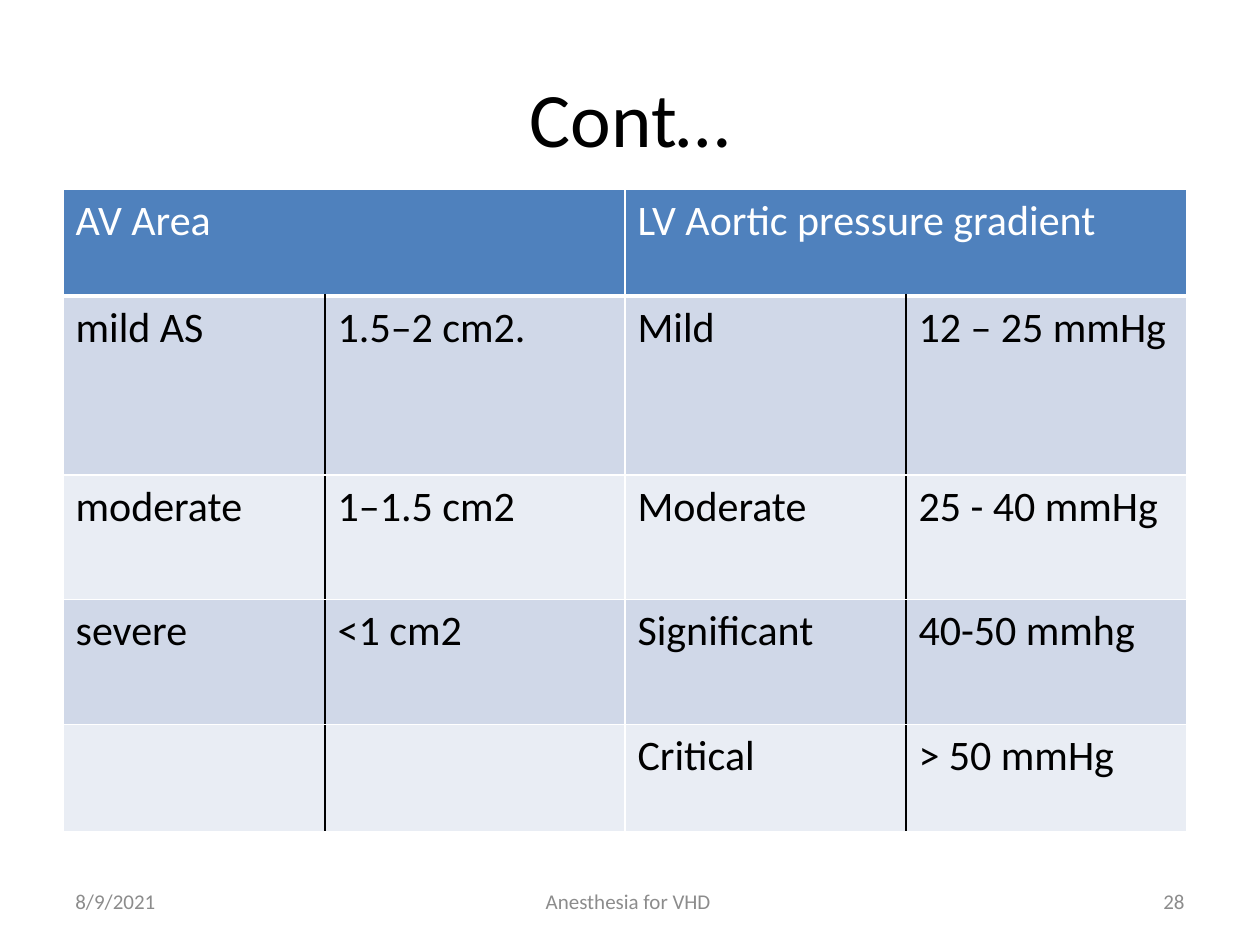
import pptx
import pptx.util
import pptx.dml.color
import pptx.enum.text
from lxml import etree
from pptx.oxml.ns import qn

Inches, Pt = pptx.util.Inches, pptx.util.Pt
ALIGN = pptx.enum.text.PP_ALIGN
MIDDLE = pptx.enum.text.MSO_ANCHOR.MIDDLE

# Content
TITLE = "Cont…"
HEADERS = ["AV Area", "LV Aortic pressure gradient"]
ROWS = [
    ["mild AS", "1.5–2 cm2.", "Mild", "12 – 25 mmHg"],
    ["moderate", "1–1.5 cm2", "Moderate", "25 - 40 mmHg"],
    ["severe", "<1 cm2", "Significant", "40-50 mmhg"],
    ["", "", "Critical", "> 50 mmHg"],
]
FOOTERS = [
    ("8/9/2021", 0.5, 2.33, ALIGN.LEFT),
    ("Anesthesia for VHD ", 3.42, 3.17, ALIGN.CENTER),
    ("28", 7.17, 2.33, ALIGN.RIGHT),
]

# Layout and colours
COLUMN_WIDTHS = [2.08, 2.38, 2.23, 2.23]
ROW_HEIGHTS = [0.85, 1.42, 0.99, 0.99, 0.85]
WHITE, BLACK, GREY = "FFFFFF", "000000", "8C8C8C"
HEADER_FILL = "4F81BD"
BAND_FILLS = ["D0D8E8", "E9EDF4"]


def color(value):
    return pptx.dml.color.RGBColor.from_string(value)


def write(text_frame, text, size, font_color, alignment=ALIGN.LEFT):
    paragraph = text_frame.paragraphs[0]
    paragraph.text = text
    paragraph.alignment = alignment
    font = paragraph.font
    font.name, font.size, font.bold = "Calibri", Pt(size), False
    font.color.rgb = color(font_color)


def set_borders(cell, left=WHITE, right=WHITE, bottom_width=1):
    properties = cell._tc.get_or_add_tcPr()
    edges = [("L", left, 1), ("R", right, 1), ("T", WHITE, 1), ("B", WHITE, bottom_width)]
    for side, line_color, width in edges:
        line = etree.SubElement(properties, qn(f"a:ln{side}"), w=str(Pt(width)))
        fill = etree.SubElement(line, qn("a:solidFill"))
        etree.SubElement(fill, qn("a:srgbClr"), val=line_color)


def fill_cell(cell, text, fill, font_color):
    cell.fill.solid()
    cell.fill.fore_color.rgb = color(fill)
    write(cell.text_frame, text, 24, font_color)


presentation = pptx.Presentation()
presentation.slide_width, presentation.slide_height = Inches(10), Inches(7.5)
slide = presentation.slides.add_slide(presentation.slide_layouts[5])

# Title
title = slide.shapes.title
title.left, title.top = Inches(0.5), Inches(0.3)
title.width, title.height = Inches(9), Inches(1.25)
title.text_frame.vertical_anchor = MIDDLE
write(title.text_frame, TITLE, 44, BLACK, ALIGN.CENTER)

# Table
table = slide.shapes.add_table(
    len(ROW_HEIGHTS), len(COLUMN_WIDTHS), Inches(0.5), Inches(1.5),
    Inches(sum(COLUMN_WIDTHS)), Inches(sum(ROW_HEIGHTS))).table
for column, width in zip(table.columns, COLUMN_WIDTHS):
    column.width = Inches(width)
for row, height in zip(table.rows, ROW_HEIGHTS):
    row.height = Inches(height)

# Each header spans a pair of columns
for index, text in enumerate(HEADERS):
    first, second = table.cell(0, 2 * index), table.cell(0, 2 * index + 1)
    first.merge(second)
    for cell in (first, second):
        set_borders(cell, bottom_width=3)
    fill_cell(first, text, HEADER_FILL, WHITE)

# Black lines divide each pair of body columns
for row_index, values in enumerate(ROWS):
    for column_index, text in enumerate(values):
        cell = table.cell(row_index + 1, column_index)
        if column_index % 2:
            set_borders(cell, left=BLACK)
        else:
            set_borders(cell, right=BLACK)
        fill_cell(cell, text, BAND_FILLS[row_index % 2], BLACK)

# Footer
for text, left, width, alignment in FOOTERS:
    box = slide.shapes.add_textbox(Inches(left), Inches(6.95), Inches(width), Inches(0.4))
    box.text_frame.word_wrap = True
    box.text_frame.vertical_anchor = MIDDLE
    write(box.text_frame, text, 12, GREY, alignment)

presentation.save("out.pptx")
